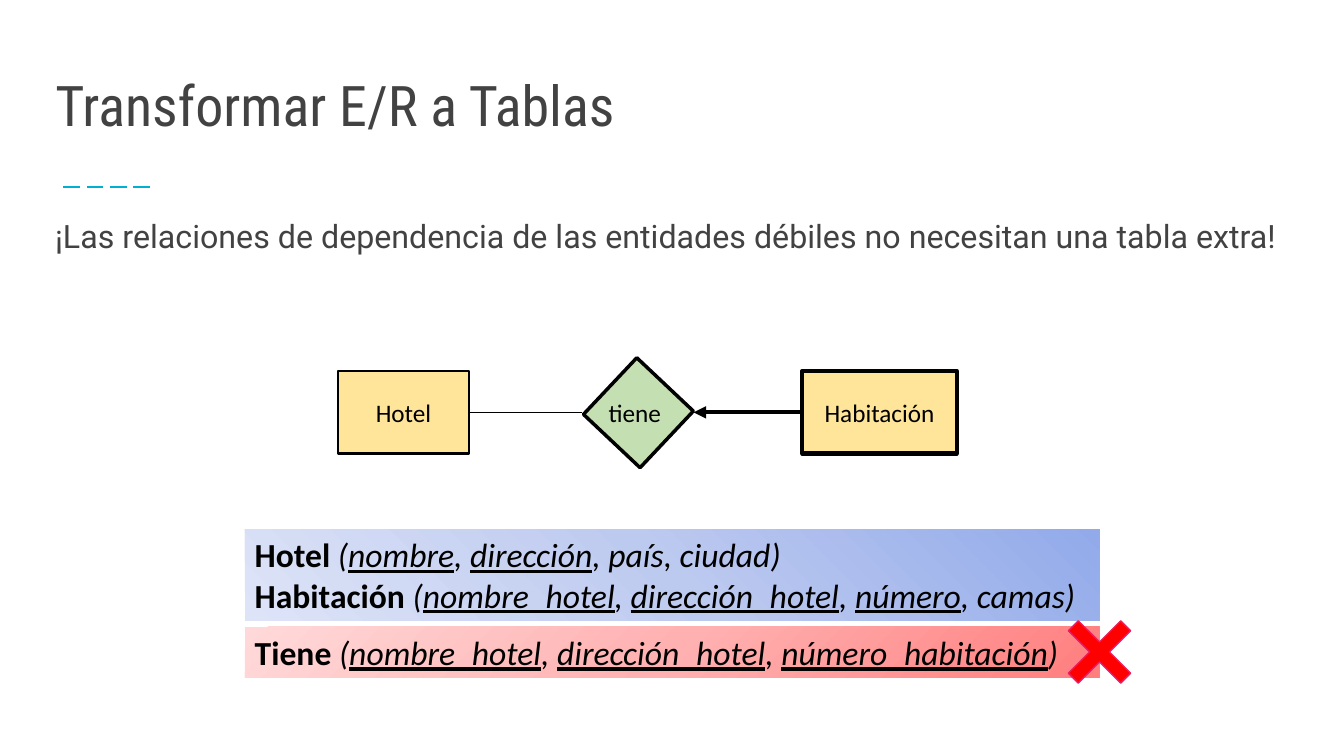
from lxml.etree import SubElement
from pptx import Presentation
from pptx.dml.color import RGBColor
from pptx.enum.dml import MSO_LINE
from pptx.enum.shapes import MSO_CONNECTOR, MSO_SHAPE
from pptx.enum.text import MSO_ANCHOR, MSO_AUTO_SIZE, PP_ALIGN
from pptx.oxml import parse_xml
from pptx.oxml.ns import nsdecls, qn
from pptx.util import Cm, Pt

BLACK = RGBColor(0x00, 0x00, 0x00)
GREY = RGBColor(0x42, 0x42, 0x42)
TEAL = RGBColor(0x01, 0xAF, 0xD1)
YELLOW = RGBColor(0xFE, 0xE5, 0x99)
GREEN = RGBColor(0xC4, 0xE0, 0xB2)
RED = RGBColor(0xFF, 0x00, 0x00)
PINK = RGBColor(0xE9, 0x1D, 0x63)
BLUES = [RGBColor(0x92, 0xAA, 0xEA), RGBColor(0xBD, 0xCA, 0xF0), RGBColor(0xDE, 0xE4, 0xF7)]
REDS = [RGBColor(0xFF, 0x7E, 0x7E), RGBColor(0xFF, 0xB1, 0xB1), RGBColor(0xFF, 0xD9, 0xD9)]

HEADING = "Transformar E/R a Tablas"
STATEMENT = "¡Las relaciones de dependencia de las entidades débiles no necesitan una tabla extra!"
RELATION = "tiene"
ENTITIES = [
    ("Hotel", 8.53, 3.28, 1.5),
    ("Habitación", 20.22, 3.89, 3),
]
LINKS = [
    (14.66, 11.81, 0.75, False),
    (20.22, 17.48, 3, True),
]
NEEDED_TABLES = [
    ("Hotel", ["nombre", "dirección"], ["país", "ciudad"]),
    ("Habitación", ["nombre_hotel", "dirección_hotel", "número"], ["camas"]),
]
EXTRA_TABLES = [
    ("Tiene", ["nombre_hotel", "dirección_hotel", "número_habitación"], []),
]
PANELS = [
    (NEEDED_TABLES, 13.34, 2.31, BLUES, 'l="100000" b="100000"'),
    (EXTRA_TABLES, 15.8, 1.27, REDS, 'l="100000" t="100000"'),
]

MARGIN, TEXT_WIDTH, TEXT_HEIGHT = 1.14, 31.55, 2.72
ENTITY_TOP, ENTITY_HEIGHT = 9.35, 2.08
LINK_Y = ENTITY_TOP + ENTITY_HEIGHT / 2


def box(*lengths):
    return [Cm(length) for length in lengths]


def write(paragraph, text, size, font="Calibri", color=BLACK, **style):
    run = paragraph.add_run()
    run.text = text
    run.font.size = Pt(size)
    run.font.name = font
    run.font.color.rgb = color
    for key, value in style.items():
        setattr(run.font, key, value)


def add_shape(slide, kind, place, fill=None, line=None, width=1):
    shape = slide.shapes.add_shape(kind, *box(*place))
    shape.shadow.inherit = False
    if fill is not None:
        shape.fill.solid()
        shape.fill.fore_color.rgb = fill
    if line is None:
        shape.line.fill.background()
    else:
        shape.line.color.rgb = line
        shape.line.width = Pt(width)
    return shape


def add_line(slide, start, end, y, color, width):
    line = slide.shapes.add_connector(MSO_CONNECTOR.STRAIGHT, *box(start, y, end, y))
    line.line.color.rgb = color
    line.line.width = Pt(width)
    SubElement(line.element.spPr, qn("a:effectLst"))
    return line


def radial_fill(shape, colors, focus):
    stops = "".join(
        f'<a:gs pos="{i * 50000}"><a:srgbClr val="{color}"/></a:gs>'
        for i, color in enumerate(colors)
    )
    shape.fill.gradient()
    properties = shape.element.spPr
    properties.replace(properties.find(qn("a:gradFill")), parse_xml(
        f'<a:gradFill {nsdecls("a")} rotWithShape="1"><a:gsLst>{stops}</a:gsLst>'
        f'<a:path path="circle"><a:fillToRect {focus}/></a:path></a:gradFill>'
    ))


def write_table(paragraph, name, keys, others):
    write(paragraph, name + " ", 24, bold=True)
    opening = "("
    for key in keys:
        write(paragraph, opening, 24, italic=True)
        write(paragraph, key, 24, italic=True, underline=True)
        opening = ", "
    write(paragraph, "".join(", " + other for other in others) + ")", 24, italic=True)


def add_texts(slide):
    dashes = add_line(slide, 1.6, 3.86, 4.72, TEAL, 1.5)
    dashes.line.dash_style = MSO_LINE.LONG_DASH
    title = slide.shapes.title
    title.left, title.top, title.width, title.height = box(MARGIN, 1.37, TEXT_WIDTH, TEXT_HEIGHT)
    body = slide.shapes.add_textbox(*box(MARGIN, 5.44, TEXT_WIDTH, TEXT_HEIGHT))
    for holder, anchor, text, size, font in [
        (title, MSO_ANCHOR.MIDDLE, HEADING, 40, "Roboto Condensed"),
        (body, MSO_ANCHOR.TOP, STATEMENT, 23, "Roboto"),
    ]:
        frame = holder.text_frame
        frame.word_wrap = True
        frame.auto_size = MSO_AUTO_SIZE.NONE
        frame.vertical_anchor = anchor
        paragraph = frame.paragraphs[0]
        paragraph.alignment = PP_ALIGN.LEFT
        paragraph.line_spacing = 0.9
        write(paragraph, text, size, font, GREY)


def add_diagram(slide):
    for name, left, width, border in ENTITIES:
        entity = add_shape(slide, MSO_SHAPE.RECTANGLE,
                           (left, ENTITY_TOP, width, ENTITY_HEIGHT), YELLOW, BLACK, border)
        entity.text_frame.vertical_anchor = MSO_ANCHOR.MIDDLE
        paragraph = entity.text_frame.paragraphs[0]
        paragraph.alignment = PP_ALIGN.CENTER
        write(paragraph, name, 18)
    diamond = add_shape(slide, MSO_SHAPE.RECTANGLE, (15.11, 9.42, 1.96, 1.96), GREEN, BLACK, 2.5)
    diamond.rotation = 313.3
    label = slide.shapes.add_textbox(*box(15.09, 9.88, 1.85, 1.02))
    label.text_frame.word_wrap = False
    write(label.text_frame.paragraphs[0], RELATION, 18)
    for start, end, width, arrow in LINKS:
        link = add_line(slide, start, end, LINK_Y, BLACK, width)
        if arrow:
            SubElement(link.line._get_or_add_ln(), qn("a:tailEnd"), type="triangle")


def add_panels(slide):
    for tables, top, height, colors, focus in PANELS:
        panel = add_shape(slide, MSO_SHAPE.RECTANGLE, (6.17, top, 21.54, height))
        radial_fill(panel, colors, focus)
        frame = panel.text_frame
        frame.word_wrap = True
        frame.vertical_anchor = MSO_ANCHOR.TOP
        for i, table in enumerate(tables):
            paragraph = frame.add_paragraph() if i else frame.paragraphs[0]
            paragraph.alignment = PP_ALIGN.LEFT
            write_table(paragraph, *table)
    cross = add_shape(slide, MSO_SHAPE.MATH_MULTIPLY, (26.44, 15.16, 2.54, 2.54), RED, PINK)
    cross.adjustments[0] = 0.14


def main():
    deck = Presentation()
    deck.slide_width, deck.slide_height = box(33.87, 19.05)
    slide = deck.slides.add_slide(deck.slide_layouts[5])
    add_texts(slide)
    add_diagram(slide)
    add_panels(slide)
    deck.save("out.pptx")


if __name__ == "__main__":
    main()
